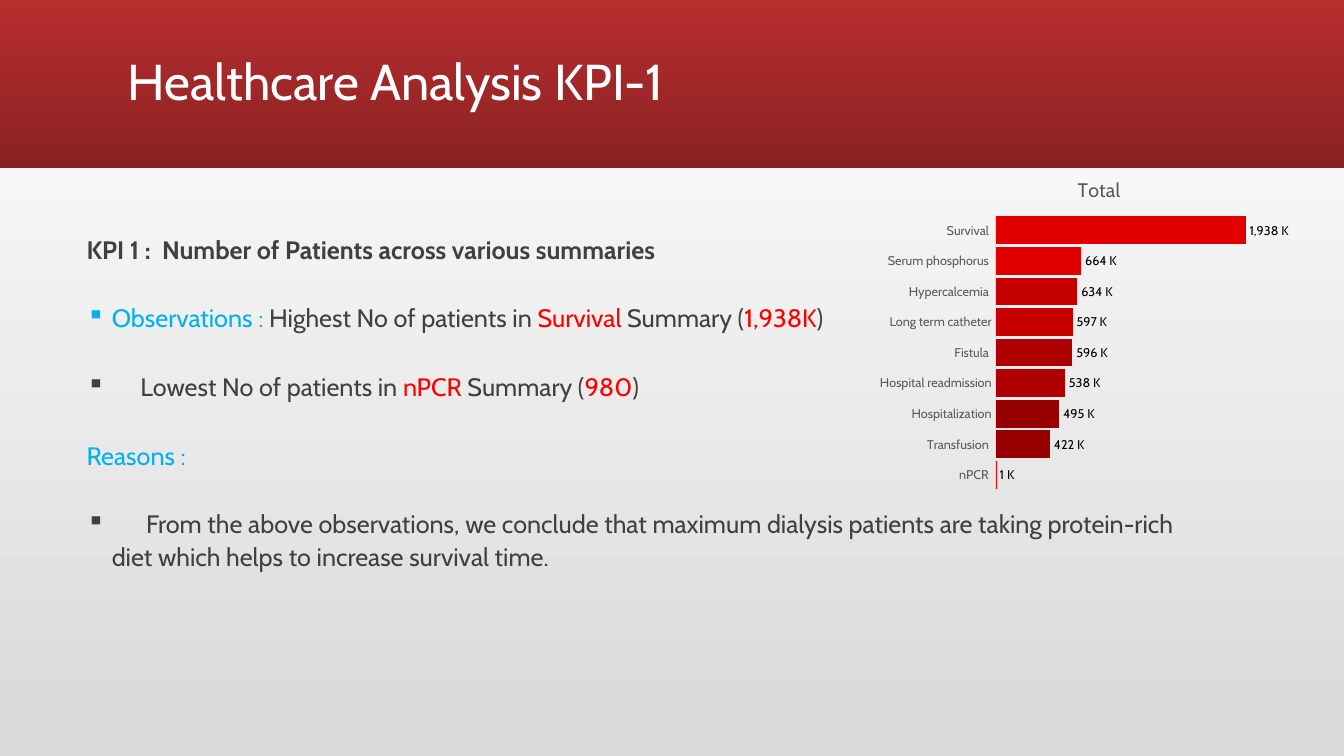
from lxml import etree
from pptx import Presentation
from pptx.chart.data import CategoryChartData
from pptx.dml.color import RGBColor
from pptx.enum import chart as ch, shapes, text
from pptx.oxml.ns import qn
from pptx.util import Pt

FONT = "Cabin"
COLORS = {
    "white": "FFFFFF", "silver": "D9D9D9", "red_top": "B82D2F",
    "red_bottom": "8A2223", "body": "404040", "accent": "00B0F0",
    "highlight": "FF0000", "axis": "595959", "black": "000000",
}
BAR_SHADES = ["FF0000", "960000", "960000", "AE0000", "AE0000",
              "C70000", "C70000", "E10000", "E10000"]
PATIENTS = [
    ("nPCR ", 1000), ("Transfusion ", 422000), ("Hospitalization", 495000),
    ("Hospital readmission", 538000), ("Fistula ", 596000),
    ("Long term catheter", 597000), ("Hypercalcemia ", 634000),
    ("Serum phosphorus ", 664000), ("Survival ", 1938000),
]


def rgb(name):
    return RGBColor.from_string(COLORS[name])


def style_font(font, size, color):
    font.name = FONT
    font.size = Pt(size)
    font.bold = False
    font.color.rgb = rgb(color)


def fill_gradient(fill, start, end, angle):
    fill.gradient()
    fill.gradient_angle = angle
    for stop, color in zip(fill.gradient_stops, (start, end)):
        stop.color.rgb = rgb(color)


def place(shape, left, top, width, height):
    shape.left, shape.top = Pt(left), Pt(top)
    shape.width, shape.height = Pt(width), Pt(height)


def add_header(slide, heading):
    band = slide.shapes.add_shape(
        shapes.MSO_SHAPE.RECTANGLE, 0, 0, Pt(960), Pt(120))
    band.shadow.inherit = False
    band.line.fill.background()
    fill_gradient(band.fill, "red_top", "red_bottom", 270)
    slide.shapes._spTree.insert(2, band._element)

    title = slide.shapes.title
    place(title, 84, 8, 792, 104.5)
    title.text_frame.text = heading
    title.text_frame.vertical_anchor = text.MSO_ANCHOR.MIDDLE
    line = title.text_frame.paragraphs[0]
    line.alignment = text.PP_ALIGN.LEFT
    line.line_spacing = 0.9
    style_font(line.font, 36, "white")


def add_bullet(paragraph, indent, tab):
    props = paragraph._p.get_or_add_pPr()
    props.set("marL", str(Pt(indent)))
    props.set("indent", str(-Pt(indent)))
    etree.SubElement(props, qn("a:buChar")).set("char", "▪")
    if tab:
        stops = etree.SubElement(props, qn("a:tabLst"))
        etree.SubElement(stops, qn("a:tab"), pos=str(Pt(tab)), algn="l")


def write_line(paragraph, parts, indent=0, tab=0, bold=False):
    paragraph.line_spacing = 1.07
    paragraph.space_before = Pt(18)
    paragraph.space_after = Pt(8)
    if indent:
        add_bullet(paragraph, indent, tab)
    style_font(paragraph.font, 18, "body")
    paragraph.font.bold = bold
    for wording, color in parts:
        run = paragraph.add_run()
        run.text = wording
        run.font.color.rgb = rgb(color)


def add_findings(slide):
    findings = slide.shapes.add_textbox(Pt(54.75), Pt(162), Pt(810), Pt(360))
    frame = findings.text_frame
    frame.word_wrap = True
    write_line(frame.paragraphs[0], [
        ("KPI 1 :  Number of Patients across various summaries", "body")],
        bold=True)
    write_line(frame.add_paragraph(), [
        ("Observations :", "accent"),
        (" Highest No of patients in ", "body"), ("Survival", "highlight"),
        (" Summary (", "body"), ("1,938K", "highlight"), (")", "body")],
        indent=18)
    write_line(frame.add_paragraph(), [
        ("Lowest No of patients in ", "body"), ("nPCR", "highlight"),
        (" Summary (", "body"), ("980", "highlight"), (")", "body")],
        indent=38.5)
    write_line(frame.add_paragraph(), [("Reasons :", "accent")])
    write_line(frame.add_paragraph(), [
        ("\tFrom the above observations, we conclude that maximum dialysis "
         "patients are taking protein-rich diet which helps to increase "
         "survival time.", "body")],
        indent=18, tab=42.5)


def add_patient_chart(slide):
    data = CategoryChartData()
    data.categories = [summary for summary, _ in PATIENTS]
    data.add_series("Total", [count for _, count in PATIENTS])
    chart = slide.shapes.add_chart(
        ch.XL_CHART_TYPE.BAR_CLUSTERED,
        Pt(622), Pt(114.5), Pt(326), Pt(240.5), data).chart
    style_font(chart.font, 10, "black")
    chart.has_legend = False
    chart.has_title = True
    chart.chart_title.include_in_layout = False
    chart.chart_title.text_frame.text = "Total"
    style_font(chart.chart_title.text_frame.paragraphs[0].font, 14, "axis")

    summaries = chart.category_axis
    summaries.major_tick_mark = ch.XL_TICK_MARK.NONE
    summaries.format.line.color.rgb = rgb("silver")
    summaries.format.line.width = Pt(0.75)
    style_font(summaries.tick_labels.font, 9, "axis")
    chart.value_axis.has_major_gridlines = False
    chart.value_axis.visible = False

    plot = chart.plots[0]
    plot.gap_width = 10
    plot.overlap = -100
    plot.vary_by_categories = False
    totals = plot.series[0]
    totals.invert_if_negative = False
    for index, shade in enumerate(BAR_SHADES):
        bar_fill = totals.points[index].format.fill
        bar_fill.solid()
        bar_fill.fore_color.rgb = RGBColor.from_string(shade)

    labels = totals.data_labels
    labels.show_value = True
    labels.position = ch.XL_LABEL_POSITION.OUTSIDE_END
    labels.number_format = "#,##0,\\ \\K"
    labels.number_format_is_linked = False
    style_font(labels.font, 9, "black")


def main():
    deck = Presentation()
    deck.slide_width, deck.slide_height = Pt(960), Pt(540)
    slide = deck.slides.add_slide(deck.slide_layouts.get_by_name("Title Only"))
    fill_gradient(slide.background.fill, "silver", "white", 90)
    add_header(slide, "Healthcare Analysis KPI-1")
    add_findings(slide)
    add_patient_chart(slide)
    deck.save("out.pptx")


if __name__ == "__main__":
    main()
